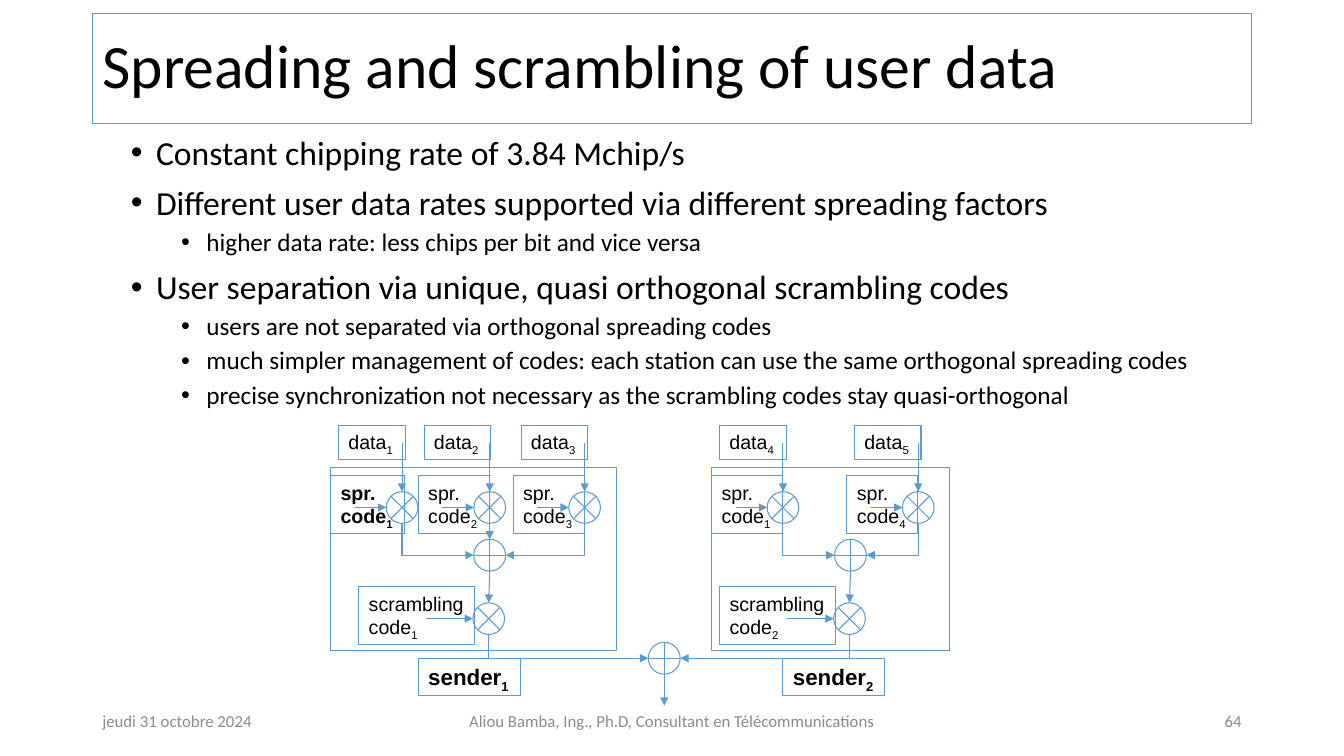
from dataclasses import dataclass

from lxml.etree import SubElement
from pptx import Presentation
from pptx.dml.color import RGBColor
from pptx.enum.shapes import MSO_CONNECTOR, MSO_SHAPE
from pptx.enum.text import MSO_ANCHOR, PP_ALIGN
from pptx.oxml.ns import qn
from pptx.util import Pt


@dataclass(frozen=True)
class Theme:
    ink: RGBColor = RGBColor(0x00, 0x00, 0x00)
    muted: RGBColor = RGBColor(0x8C, 0x8C, 0x8C)
    outline: RGBColor = RGBColor(0x5B, 0x9B, 0xD5)
    outline_width: float = 0.75
    body_font: str = "Calibri"
    label_font: str = "Arial"
    title_size: int = 44
    bullet_sizes: tuple = (24, 18)
    label_size: int = 14
    sender_size: int = 16
    footer_size: int = 12


@dataclass(frozen=True)
class Channel:
    """One data stream; positions are measured from the sender frame's left."""
    data: str
    code: str
    data_left: float
    mixer_center: float
    bold: bool = False


THEME = Theme()
MIXER_SIZE = 22.6
ADDER_SIZE = 22.8
BULLETS = [
    (0, "Constant chipping rate of 3.84 Mchip/s"),
    (0, "Different user data rates supported via different spreading factors"),
    (1, "higher data rate: less chips per bit and vice versa"),
    (0, "User separation via unique, quasi orthogonal scrambling codes"),
    (1, "users are not separated via orthogonal spreading codes"),
    (1, "much simpler management of codes: each station can use the same orthogonal spreading codes"),
    (1, "precise synchronization not necessary as the scrambling codes stay quasi-orthogonal"),
]
SENDERS = [
    dict(number="1", box=(236.2, 334, 204.5, 130.5), adder_center=113.6, label_left=62.6,
         channels=[Channel("1", "1", 5.6, 51, bold=True),
                   Channel("2", "2", 66.7, 113.6),
                   Channel("3", "3", 136, 181.4)]),
    dict(number="2", box=(508.3, 334, 170, 130.5), adder_center=99.2, label_left=51,
         channels=[Channel("4", "1", 5.6, 51),
                   Channel("5", "4", 102, 147.6)]),
]


def set_font(font, size, name, color=THEME.ink, bold=False):
    values = {"size": Pt(size), "name": name, "bold": bold}
    for attribute, value in values.items():
        setattr(font, attribute, value)
    font.color.rgb = color


def set_outline(line):
    line.color.rgb = THEME.outline
    line.width = Pt(THEME.outline_width)


def add_outlined(shapes, kind, left, top, width, height):
    shape = shapes.add_shape(kind, Pt(left), Pt(top), Pt(width), Pt(height))
    shape.shadow.inherit = False
    shape.fill.background()
    set_outline(shape.line)
    return shape


def add_node(shapes, kind, center, top, size):
    return add_outlined(shapes, kind, center - size / 2, top, size, size)


def add_label(shapes, box, lines, subscript, size=THEME.label_size, bold=False):
    """Outlined text box whose last line ends in a subscript."""
    frame = add_outlined(shapes, MSO_SHAPE.RECTANGLE, *box).text_frame
    frame.word_wrap = False
    frame.vertical_anchor = MSO_ANCHOR.TOP
    for index, line in enumerate(lines):
        paragraph = frame.paragraphs[0] if index == 0 else frame.add_paragraph()
        paragraph.alignment = PP_ALIGN.LEFT
        paragraph.add_run().text = line
    run = paragraph.add_run()
    run.text = subscript
    run._r.get_or_add_rPr().set("baseline", "-25000")
    for paragraph in frame.paragraphs:
        for run in paragraph.runs:
            set_font(run.font, size, THEME.label_font, bold=bold)


def add_arrow(shapes, start, end, bent=False):
    """Arrow to end; a bent one leaves start vertically and arrives sideways."""
    kind = MSO_CONNECTOR.ELBOW if bent else MSO_CONNECTOR.STRAIGHT
    first, last, head = (end, start, "a:headEnd") if bent else (start, end, "a:tailEnd")
    connector = shapes.add_connector(kind, *map(Pt, first + last))
    set_outline(connector.line)
    properties = connector._element.spPr
    if bent:
        properties.find(qn("a:prstGeom")).set("prst", "bentConnector2")
    SubElement(properties.find(qn("a:ln")), qn(head), type="triangle")
    SubElement(properties, qn("a:effectLst"))


def add_title(slide, box, text):
    title = slide.shapes.title
    for attribute, value in zip(("left", "top", "width", "height"), box):
        setattr(title, attribute, Pt(value))
    set_outline(title.line)
    frame = title.text_frame
    frame.text = text
    frame.word_wrap = True
    frame.vertical_anchor = MSO_ANCHOR.MIDDLE
    paragraph = frame.paragraphs[0]
    paragraph.alignment = PP_ALIGN.LEFT
    paragraph.line_spacing = 0.9
    set_font(paragraph.font, THEME.title_size, THEME.body_font)


def add_bullets(slide, box, bullets):
    frame = slide.shapes.add_textbox(*map(Pt, box)).text_frame
    frame.word_wrap = True
    for index, (level, text) in enumerate(bullets):
        paragraph = frame.paragraphs[0] if index == 0 else frame.add_paragraph()
        paragraph.text = text
        paragraph.level = level
        paragraph.line_spacing = 0.9
        paragraph.space_before = Pt(0 if index == 0 else 10 - 5 * level)
        properties = paragraph._p.get_or_add_pPr()
        properties.set("marL", str(Pt(18 + 36 * level)))
        properties.set("indent", str(Pt(-18)))
        SubElement(properties, qn("a:buFont"), typeface="Arial")
        SubElement(properties, qn("a:buChar"), char="•")
        set_font(paragraph.font, THEME.bullet_sizes[level], THEME.body_font)


def add_channel(shapes, frame_left, frame_top, channel, adder):
    center = frame_left + channel.mixer_center
    mixer_top = frame_top + 17.2
    mixer_bottom = mixer_top + MIXER_SIZE
    mixer_left, mixer_middle = center - MIXER_SIZE / 2, mixer_top + MIXER_SIZE / 2
    add_node(shapes, MSO_SHAPE.FLOWCHART_SUMMING_JUNCTION, center, mixer_top, MIXER_SIZE)
    add_label(shapes, (frame_left + channel.data_left, frame_top - 30.2, 47.6, 24.3),
              ["data"], channel.data)
    add_label(shapes, (center - 51, frame_top + 5.8, 52.6 if channel.bold else 50.6, 41.3),
              ["spr.", "code"], channel.code, bold=channel.bold)
    add_arrow(shapes, (center, frame_top - 17.5), (center, mixer_top))
    add_arrow(shapes, (mixer_left - 22.5, mixer_middle), (mixer_left, mixer_middle))

    adder_center, adder_top = adder
    if abs(center - adder_center) < 1:
        add_arrow(shapes, (center, mixer_bottom), (center, adder_top))
    else:
        side = ADDER_SIZE / 2 if center > adder_center else -ADDER_SIZE / 2
        add_arrow(shapes, (center, mixer_bottom),
                  (adder_center + side, adder_top + ADDER_SIZE / 2), bent=True)


def add_sender(shapes, box, number, channels, adder_center, label_left):
    """Draw one sender and return the point where its signal leaves."""
    left, top, width, height = box
    add_outlined(shapes, MSO_SHAPE.RECTANGLE, *box)
    adder = (left + adder_center, top + 51.2)
    add_node(shapes, MSO_SHAPE.FLOWCHART_OR, *adder, ADDER_SIZE)
    for channel in channels:
        add_channel(shapes, left, top, channel, adder)

    center, mixer_top = adder[0] - 0.7, top + 96.6
    mixer_left, mixer_middle = center - MIXER_SIZE / 2, mixer_top + MIXER_SIZE / 2
    add_node(shapes, MSO_SHAPE.FLOWCHART_SUMMING_JUNCTION, center, mixer_top, MIXER_SIZE)
    add_arrow(shapes, (adder[0], adder[1] + ADDER_SIZE), (center, mixer_top))
    add_arrow(shapes, (mixer_left - 33.2, mixer_middle), (mixer_left, mixer_middle))
    add_label(shapes, (mixer_left - 81.5, top + 85, 82.8, 41.3), ["scrambling", "code"], number)
    add_label(shapes, (left + label_left, top + height + 5.7, 72.8, 26.6), ["sender"], number,
              THEME.sender_size, bold=True)
    return center, mixer_top + MIXER_SIZE


def add_diagram(slide, output_center, output_top, exit_bottom):
    shapes = slide.shapes.add_group_shape().shapes
    add_node(shapes, MSO_SHAPE.FLOWCHART_OR, output_center, output_top, ADDER_SIZE)
    for sender in SENDERS:
        signal = add_sender(shapes, **sender)
        side = ADDER_SIZE / 2 if signal[0] > output_center else -ADDER_SIZE / 2
        add_arrow(shapes, signal, (output_center + side, output_top + ADDER_SIZE / 2), bent=True)
    add_arrow(shapes, (output_center, output_top + ADDER_SIZE), (output_center, exit_bottom))


def add_footer(slide, top, height):
    for left, width, alignment, text in [
        (66, 216, PP_ALIGN.LEFT, "jeudi 31 octobre 2024"),
        (318, 324, PP_ALIGN.CENTER, "Aliou Bamba, Ing., Ph.D, Consultant en Télécommunications"),
        (678, 216, PP_ALIGN.RIGHT, "64"),
    ]:
        frame = slide.shapes.add_textbox(Pt(left), Pt(top), Pt(width), Pt(height)).text_frame
        frame.word_wrap = True
        frame.vertical_anchor = MSO_ANCHOR.MIDDLE
        paragraph = frame.paragraphs[0]
        paragraph.text = text
        paragraph.alignment = alignment
        set_font(paragraph.font, THEME.footer_size, THEME.body_font, THEME.muted)


def main():
    presentation = Presentation()
    presentation.slide_width, presentation.slide_height = Pt(960), Pt(540)
    slide = presentation.slides.add_slide(presentation.slide_layouts[5])
    add_title(slide, (66, 9.5, 828, 79), "Spreading and scrambling of user data")
    add_bullets(slide, (86.4, 93.6, 808, 197), BULLETS)
    add_diagram(slide, output_center=474.5, output_top=458.8, exit_bottom=504)
    add_footer(slide, 500.5, 28.8)
    presentation.save("out.pptx")


if __name__ == "__main__":
    main()
